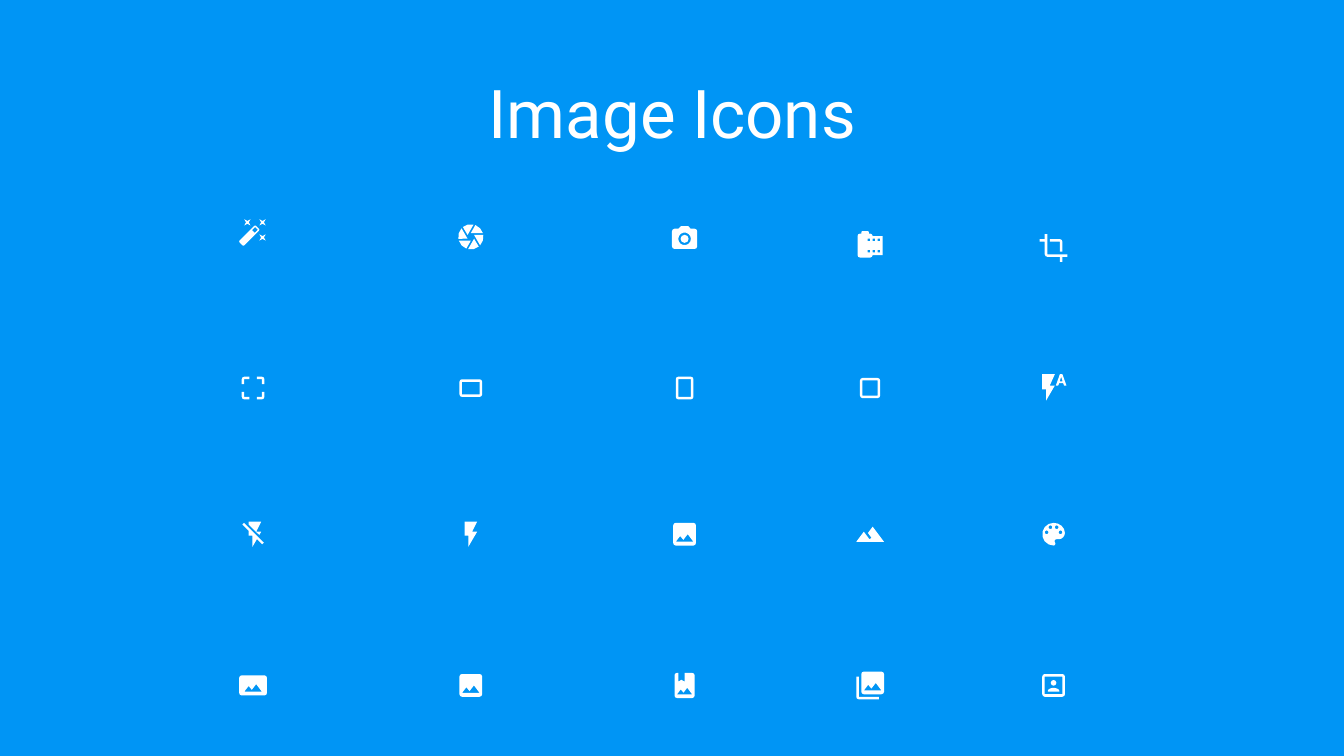
from dataclasses import dataclass
from math import cos, radians, sin

from pptx import Presentation
from pptx import util as u
from pptx.dml.color import RGBColor
from pptx.enum import text


@dataclass(frozen=True)
class Theme:
    background: RGBColor = RGBColor(0x00, 0x95, 0xF5)
    ink: RGBColor = RGBColor(0xFF, 0xFF, 0xFF)
    font: str = "Roboto"
    title_size: u.Pt = u.Pt(48)


ICON_GRID = 24      # icon outlines are drawn on a 24 by 24 grid
ICON_SIZE = 0.3     # inches
COLUMNS = (2.51, 4.67, 6.79, 8.63, 10.45)
ROWS = (3.85, 5.3, 6.8)    # the row above these is staggered


def arc(cx, cy, rx, start, end, ry=None):
    """Points along an ellipse; angles in degrees, clockwise from the right."""
    step = 25 if rx > 4 else 45
    steps = max(2, round(abs(end - start) / step))
    angles = [radians(start + (end - start) * i / steps) for i in range(steps + 1)]
    return [(cx + rx * cos(a), cy + (ry or rx) * sin(a)) for a in angles]


def disc(cx, cy, r):
    return arc(cx, cy, r, 0, 360)[:-1]


def box(left, top, right, bottom, r=2):
    """Rounded box that ends at its top left, so a detail on its top edge can follow."""
    return (arc(right - r, top + r, r, -90, 0) + arc(right - r, bottom - r, r, 0, 90)
            + arc(left + r, bottom - r, r, 90, 180) + arc(left + r, top + r, r, 180, 270))


def rect(left, top, right, bottom):
    return [(left, top), (right, top), (right, bottom), (left, bottom)]


def shift(points, dx, dy):
    return [(x + dx, y + dy) for x, y in points]


def turn(points, degrees, cx=12, cy=12):
    c, s = cos(radians(degrees)), sin(radians(degrees))
    return [(cx + (x - cx) * c - (y - cy) * s, cy + (x - cx) * s + (y - cy) * c)
            for x, y in points]


def frame(left, top, right, bottom):
    return [box(left, top, right, bottom), rect(left + 2, top + 2, right - 2, bottom - 2)]


SPARKLE = [(7.5, 5.6), (10, 7), (8.6, 4.5), (10, 2), (7.5, 3.4), (5, 2), (6.4, 4.5), (5, 7)]
WAND = [turn(box(-0.25, 12.35, 18.25, 17.65, 1), -45, 9, 15),
        [(13.34, 12.78), (11.22, 10.66), (13.66, 8.22), (15.78, 10.34)]]
BLADE = turn([(15, 12)], -150) + arc(12, 12, 10, -129, -77.5)
APERTURE = [turn(BLADE, 60 * i) for i in range(6)]
CAMERA = [box(2, 4, 22, 20) + [(7.17, 4), (9, 2), (15, 2), (16.83, 4)], disc(12, 12, 5)]
FILM_ROLL = [
    arc(12, 5, 2, -90, 0) + [(22, 5), (22, 20)] + arc(12, 20, 2, 0, 90)
    + arc(4, 20, 2, 90, 180) + arc(4, 5, 2, 180, 270)
    + [(5, 3)] + arc(6, 2, 1, 180, 270) + arc(10, 2, 1, 270, 360) + [(11, 3)],
    *[rect(x, y, x + 2, y + 2) for x in (10, 14, 18) for y in (7, 16)]]
CROP = [
    [(17, 15), (19, 15)] + arc(17, 7, 2, 0, -90) + [(9, 5), (9, 7), (17, 7)],
    [(7, 17), (7, 1), (5, 1), (5, 5), (1, 5), (1, 7), (5, 7)] + arc(7, 17, 2, 180, 90)
    + [(17, 19), (17, 23), (19, 23), (19, 19), (23, 19), (23, 17)]]
CORNER = [(3, 9), (5, 9), (5, 5), (9, 5), (9, 3)] + arc(5, 5, 2, 270, 180)
CROP_FREE = [turn(CORNER, 90 * i) for i in range(4)]
FLASH_AUTO = [
    [(3, 2), (3, 14), (6, 14), (6, 23), (13, 11), (9, 11), (13, 2)],
    [(19, 2), (17, 2), (13.8, 11), (15.7, 11), (16.4, 9), (19.6, 9), (20.3, 11), (22.2, 11)],
    [(16.85, 7.65), (18, 4), (19.15, 7.65)]]
FLASH_OFF = [
    [(3.27, 3), (2, 4.27), (7, 9.27), (7, 13), (10, 13), (10, 22),
     (13.58, 15.86), (17.73, 20), (19, 18.73)],
    [(17, 10), (13, 10), (17, 2), (7, 2), (7, 4.18), (15.46, 12.64)]]
FLASH_ON = [[(7, 2), (7, 13), (10, 13), (10, 22), (17, 10), (13, 10), (17, 2)]]
HILLS = [(8.5, 13.5), (11, 16.5), (14.5, 12), (19, 18), (5, 18)]
PHOTO = [box(3, 3, 21, 21), HILLS]
LANDSCAPE = [[(14, 6), (10.25, 11), (13.1, 14.8), (11.5, 16), (7, 10), (1, 18), (23, 18)]]
PALETTE = [
    arc(12, 12, 9, 270, 90) + arc(12, 19.5, 1.5, 90, -40) + arc(14.23, 17.5, 1.5, 140, 270)
    + arc(16, 11, 5, 90, 0) + arc(12, 11, 9, 0, -90, ry=8),
    *[disc(x, y, 1.5) for x, y in ((6.5, 10.5), (9.5, 6.5), (14.5, 6.5), (17.5, 10.5))]]
PANORAMA = [box(1, 4, 23, 20), shift(HILLS, 0, -1)]
ALBUM = [box(4, 2, 20, 22) + [(7, 2), (7, 9), (9.5, 7.5), (12, 9), (12, 2)],
         [(6, 19), (9, 15.14), (11.14, 17.72), (14.14, 13.86), (18, 19)]]
LIBRARY = [box(5, 1, 23, 19), shift(HILLS, 2, -2),
           [(1, 5)] + arc(3, 21, 2, 180, 90) + [(19, 23), (19, 21), (3, 21), (3, 5)]]
PORTRAIT = frame(3, 3, 21, 21) + [
    disc(12, 10, 2.25), arc(12, 16.25, 4.5, 180, 360, ry=2.25) + [(16.5, 17), (7.5, 17)]]

STAGGERED = (    # each icon: its centre height and its outlines
    (2.3, [SPARKLE, shift(SPARKLE, 12, 12), shift(SPARKLE, 12, 0), *WAND]),
    (2.35, APERTURE),
    (2.37, [disc(12, 12, 3.2), *CAMERA]),
    (2.43, FILM_ROLL),
    (2.46, CROP),
)
ALIGNED = (
    (CROP_FREE, frame(3, 5, 21, 19), frame(5, 3, 19, 21), frame(4, 4, 20, 20),
     [shift(part, 0, -1) for part in FLASH_AUTO]),
    ([shift(part, 1.5, 0) for part in FLASH_OFF], FLASH_ON, PHOTO, LANDSCAPE, PALETTE),
    (PANORAMA, PHOTO, ALBUM, LIBRARY, PORTRAIT),
)


@dataclass
class IconSlide:
    theme: Theme
    slide: object

    def background(self):
        fill = self.slide.background.fill
        fill.solid()
        fill.fore_color.rgb = self.theme.background

    def title(self, wording):
        heading = self.slide.shapes.title
        heading.left, heading.top = u.Inches(0.92), u.Inches(0.82)
        heading.width, heading.height = u.Inches(11.5), u.Inches(0.68)
        body = heading.text_frame
        body.text = wording
        body.auto_size = text.MSO_AUTO_SIZE.NONE
        body.vertical_anchor = text.MSO_ANCHOR.MIDDLE
        line = body.paragraphs[0]
        line.alignment = text.PP_ALIGN.CENTER
        line.line_spacing = 0.9
        line.font.name = self.theme.font
        line.font.size = self.theme.title_size
        line.font.color.rgb = self.theme.ink

    def icon(self, outlines, x, y):
        """Draw closed outlines as one shape, with the grid centred at x, y."""
        def place(point):
            return [u.Inches(centre + (value / ICON_GRID - 0.5) * ICON_SIZE)
                    for centre, value in zip((x, y), point)]

        first, *others = [[place(point) for point in outline] for outline in outlines]
        builder = self.slide.shapes.build_freeform(*first[0])
        builder.add_line_segments(first[1:], close=True)
        for outline in others:
            builder.move_to(*outline[0])
            builder.add_line_segments(outline[1:], close=True)
        glyph = builder.convert_to_shape()
        glyph.shadow.inherit = False
        glyph.fill.solid()
        glyph.fill.fore_color.rgb = self.theme.ink
        glyph.line.fill.background()


def main():
    deck = Presentation()
    deck.slide_width, deck.slide_height = u.Inches(13.33), u.Inches(7.5)
    page = IconSlide(Theme(), deck.slides.add_slide(deck.slide_layouts[5]))
    page.background()
    page.title("Image Icons")
    for x, (y, outlines) in zip(COLUMNS, STAGGERED):
        page.icon(outlines, x, y)
    for y, icons in zip(ROWS, ALIGNED):
        for x, outlines in zip(COLUMNS, icons):
            page.icon(outlines, x, y)
    deck.save("out.pptx")


if __name__ == "__main__":
    main()
